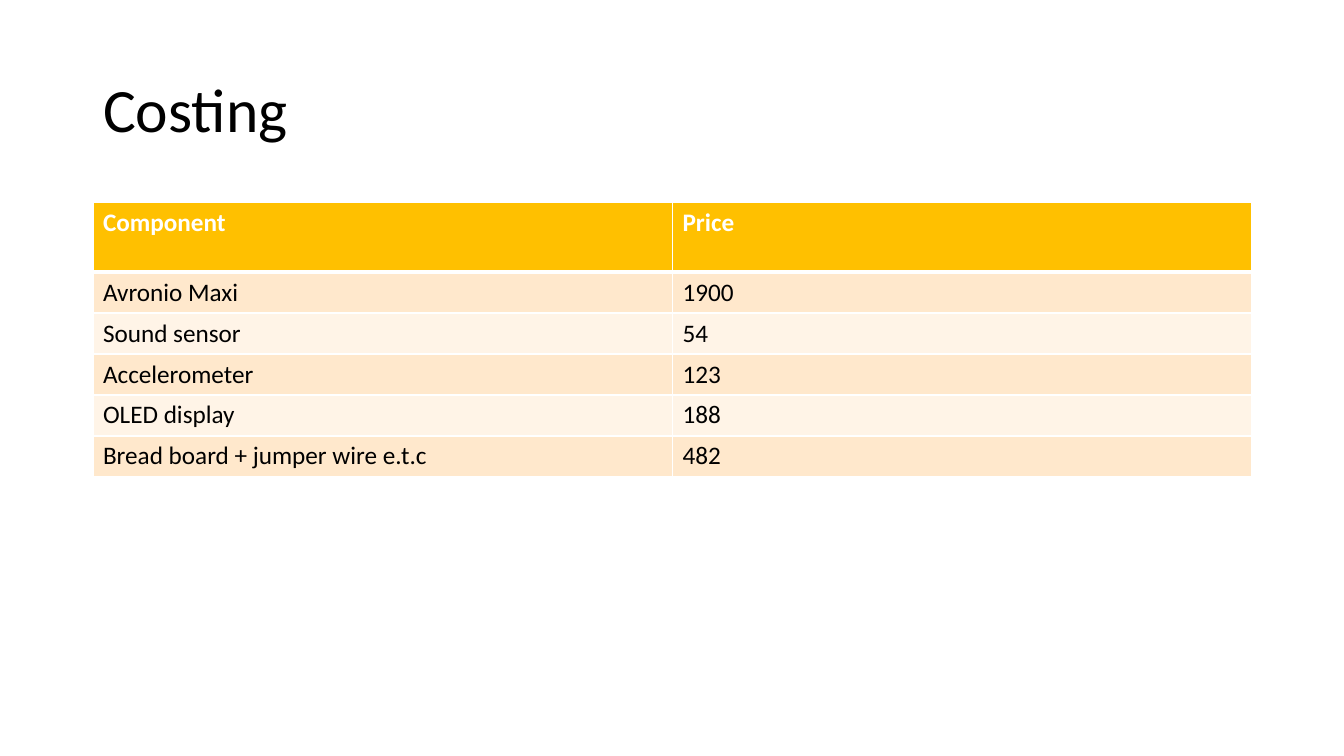
import lxml.etree
import pptx
import pptx.dml.color
import pptx.enum.text
import pptx.oxml.ns
import pptx.util

PX = 914400 / 100.8
FONT = "Calibri"
COLORS = {"text": "000000", "white": "FFFFFF", "header": "FFC000",
          "odd": "FFE8CC", "even": "FFF4E7"}
HEADER_H, ROW_H = 70, 41
COSTS = [
    ("Component", "Price"),
    ("Avronio Maxi", "1900"),
    ("Sound sensor", "54"),
    ("Accelerometer", "123"),
    ("OLED display", "188"),
    ("Bread board + jumper wire e.t.c", "482"),
]


def px(n):
    """Convert pixels to EMU."""
    return pptx.util.Emu(round(n * PX))


def rgb(name):
    """Look up a palette colour."""
    return pptx.dml.color.RGBColor.from_string(COLORS[name])


def add_run(p, text, size, color, bold=False):
    """Add one formatted run to a paragraph."""
    r = p.add_run()
    r.text = text
    r.font.name = FONT
    r.font.size = pptx.util.Pt(size)
    r.font.bold = bold
    r.font.color.rgb = rgb(color)


def set_borders(cell, widths):
    """Draw white cell borders, with widths in points by side."""
    tcPr = cell._tc.get_or_add_tcPr()
    qn = pptx.oxml.ns.qn
    for side, width in widths.items():
        ln = lxml.etree.SubElement(tcPr, qn(f"a:ln{side}"), w=str(pptx.util.Pt(width)))
        fill = lxml.etree.SubElement(ln, qn("a:solidFill"))
        lxml.etree.SubElement(fill, qn("a:srgbClr"), val=COLORS["white"])


def add_title(s, text, x, y, w, h):
    """Place and format the title placeholder."""
    sp = s.shapes.title
    sp.left, sp.top, sp.width, sp.height = map(px, (x, y, w, h))
    tf = sp.text_frame
    tf.word_wrap = True
    tf.vertical_anchor = pptx.enum.text.MSO_ANCHOR.MIDDLE
    p = tf.paragraphs[0]
    p.alignment = pptx.enum.text.PP_ALIGN.LEFT
    p.line_spacing = 0.9
    add_run(p, text, 44, "text")


def add_cost_table(s, rows, x, y, w):
    """Add the banded cost table with equal columns and a taller header."""
    cols = len(rows[0])
    h = HEADER_H + ROW_H * (len(rows) - 1)
    table = s.shapes.add_table(len(rows), cols, px(x), px(y), px(w), px(h)).table
    for column in table.columns:
        column.width = px(w / cols)
    for i, values in enumerate(rows):
        header = i == 0
        table.rows[i].height = px(HEADER_H if header else ROW_H)
        band = "header" if header else "odd" if i % 2 else "even"
        top, bottom = (3 if i == 1 else 1), (3 if header else 1)
        for j, value in enumerate(values):
            cell = table.cell(i, j)
            set_borders(cell, {"L": 1, "R": 1, "T": top, "B": bottom})
            cell.fill.solid()
            cell.fill.fore_color.rgb = rgb(band)
            add_run(cell.text_frame.paragraphs[0], value, 18,
                    "white" if header else "text", header)


def costing_slide(prs, x, w):
    """Build the costing slide within the given left edge and width."""
    s = prs.slides.add_slide(prs.slide_layouts[5])
    add_title(s, "Costing", x, 40, w, 146)
    add_cost_table(s, COSTS, x, 202, w)


prs = pptx.Presentation()
prs.slide_width, prs.slide_height = px(1344), px(756)
costing_slide(prs, 93, 1159)
prs.save("out.pptx")
